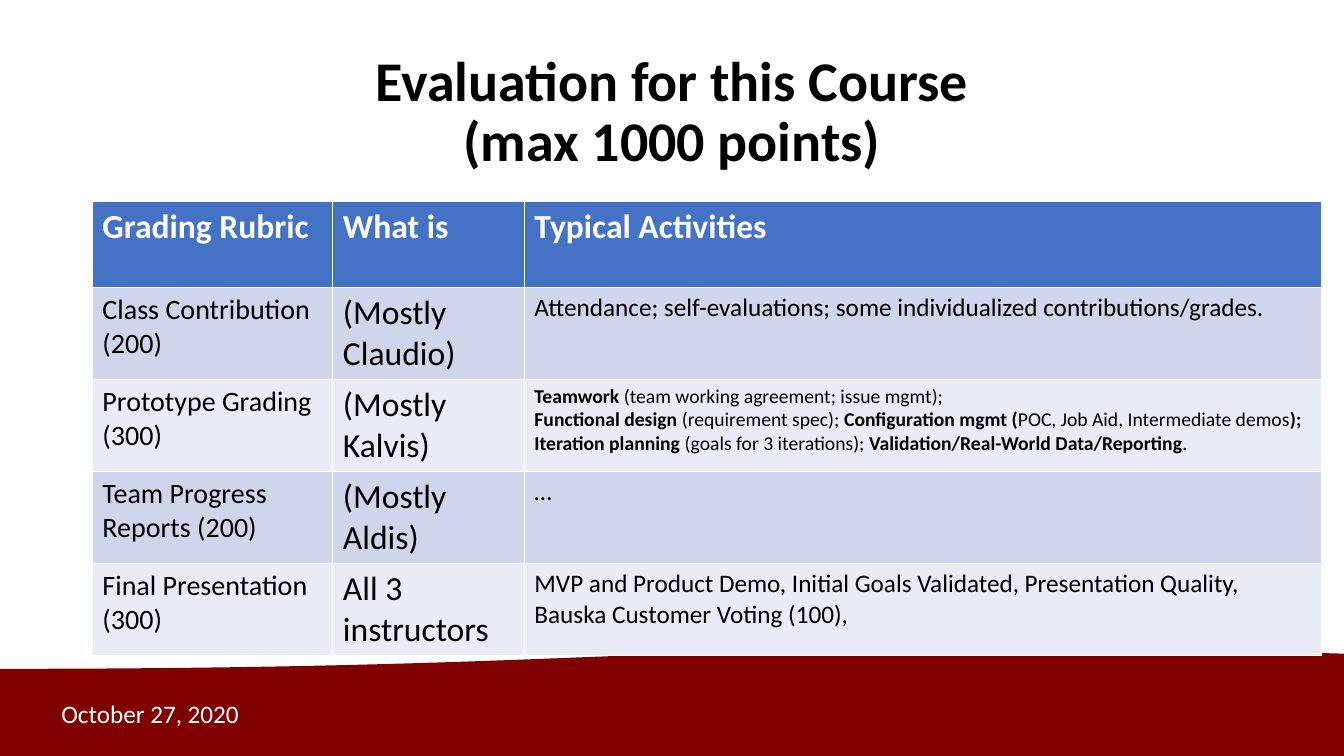
import pptx
import pptx.util
import pptx.dml.color
import pptx.enum.shapes
import pptx.enum.text

Pt = pptx.util.Pt
RGBColor = pptx.dml.color.RGBColor
PP_ALIGN = pptx.enum.text.PP_ALIGN
MSO_ANCHOR = pptx.enum.text.MSO_ANCHOR

# Content: a cell is a list of paragraphs, a paragraph a list of (text, bold) runs
TITLE = [("Evaluation for this Course\n(max 1000 points)", True)]
DATE = [("October 27, 2020", False)]
HEADERS = ["Grading Rubric", "What is", "Typical Activities"]
PROTOTYPE_ACTIVITIES = [
    [("Teamwork", True), (" (team working agreement; issue mgmt);\n", False),
     ("Functional design ", True), ("(requirement spec); ", False),
     ("Configuration mgmt (", True), ("POC, Job Aid, Intermediate demos", False),
     (");", True)],
    [("Iteration planning ", True), ("(goals for 3 iterations); ", False),
     ("Validation/Real-World Data/Reporting", True), (".", False)],
]
# Rubric, who grades, activities, size of the activities text
RUBRIC = [
    ("Class Contribution (200)", "(Mostly Claudio)",
     [[("Attendance; self-evaluations; some individualized contributions/grades.", False)]], 18),
    ("Prototype Grading (300)", "(Mostly Kalvis)", PROTOTYPE_ACTIVITIES, 14),
    ("Team Progress Reports (200)", "(Mostly Aldis)", [[("…", False)]], 18),
    ("Final Presentation (300)", "All 3 instructors",
     [[("MVP and Product Demo, Initial Goals Validated, Presentation Quality,\n"
        "Bauska Customer Voting (100),", False)]], 18),
]

# Style
FONT = "Calibri"
BLACK = RGBColor(0x00, 0x00, 0x00)
WHITE = RGBColor(0xFF, 0xFF, 0xFF)
MAROON = RGBColor(0x80, 0x00, 0x00)
HEADER_BLUE = RGBColor(0x44, 0x72, 0xC4)
BANDS = [RGBColor(0xCF, 0xD5, 0xEA), RGBColor(0xE9, 0xEB, 0xF5)]

# Layout, in points
SLIDE_W, SLIDE_H = 960, 540
LEFT = 66
TABLE_TOP = 144
COL_WIDTHS = [171.8, 136.8, 569.4]
HEADER_H, ROW_H = 61.2, 65.8


def add_runs(p, runs, size, color):
    for text, bold in runs:
        for i, line in enumerate(text.split("\n")):
            if i:
                p.add_line_break()
            if line:
                r = p.add_run()
                r.text = line
                r.font.name = FONT
                r.font.size = Pt(size)
                r.font.bold = bold
                r.font.color.rgb = color


def fill_cell(cell, paragraphs, size, color, fill):
    cell.fill.solid()
    cell.fill.fore_color.rgb = fill
    tf = cell.text_frame
    for i, runs in enumerate(paragraphs):
        p = tf.add_paragraph() if i else tf.paragraphs[0]
        add_runs(p, runs, size, color)


prs = pptx.Presentation()
prs.slide_width, prs.slide_height = Pt(SLIDE_W), Pt(SLIDE_H)
s = prs.slides.add_slide(prs.slide_layouts[5])

# Wave along the bottom, behind everything
wave = s.shapes.add_shape(pptx.enum.shapes.MSO_SHAPE.FLOWCHART_DOCUMENT,
                          Pt(0), Pt(461.5), Pt(SLIDE_W), Pt(82))
wave.rotation = 180
wave.shadow.inherit = False
wave.fill.solid()
wave.fill.fore_color.rgb = MAROON
wave.line.fill.background()
s.shapes._spTree.insert(2, wave._element)

# Title
title = s.shapes.title
title.left, title.top, title.width, title.height = Pt(LEFT), Pt(28.75), Pt(828), Pt(104.4)
tf = title.text_frame
tf.auto_size = pptx.enum.text.MSO_AUTO_SIZE.NONE
tf.vertical_anchor = MSO_ANCHOR.MIDDLE
p = tf.paragraphs[0]
p.alignment = PP_ALIGN.CENTER
p.line_spacing = 0.9
add_runs(p, TITLE, 40, BLACK)

# Grading table
height = HEADER_H + ROW_H * len(RUBRIC)
table = s.shapes.add_table(len(RUBRIC) + 1, len(HEADERS), Pt(LEFT), Pt(TABLE_TOP),
                           Pt(sum(COL_WIDTHS)), Pt(height)).table
for col, width in zip(table.columns, COL_WIDTHS):
    col.width = Pt(width)
for i, row in enumerate(table.rows):
    row.height = Pt(ROW_H if i else HEADER_H)
for c, header in enumerate(HEADERS):
    fill_cell(table.cell(0, c), [[(header, True)]], 24, WHITE, HEADER_BLUE)
for i, (rubric, grader, activities, size) in enumerate(RUBRIC):
    cells = [([[(rubric, False)]], 20), ([[(grader, False)]], 24), (activities, size)]
    for c, (paragraphs, cell_size) in enumerate(cells):
        fill_cell(table.cell(i + 1, c), paragraphs, cell_size, BLACK, BANDS[i % 2])

# Date
date = s.shapes.add_textbox(Pt(36.7), Pt(495.4), Pt(216), Pt(28.8))
tf = date.text_frame
tf.word_wrap = True
tf.vertical_anchor = MSO_ANCHOR.MIDDLE
add_runs(tf.paragraphs[0], DATE, 18, WHITE)

prs.save("out.pptx")
